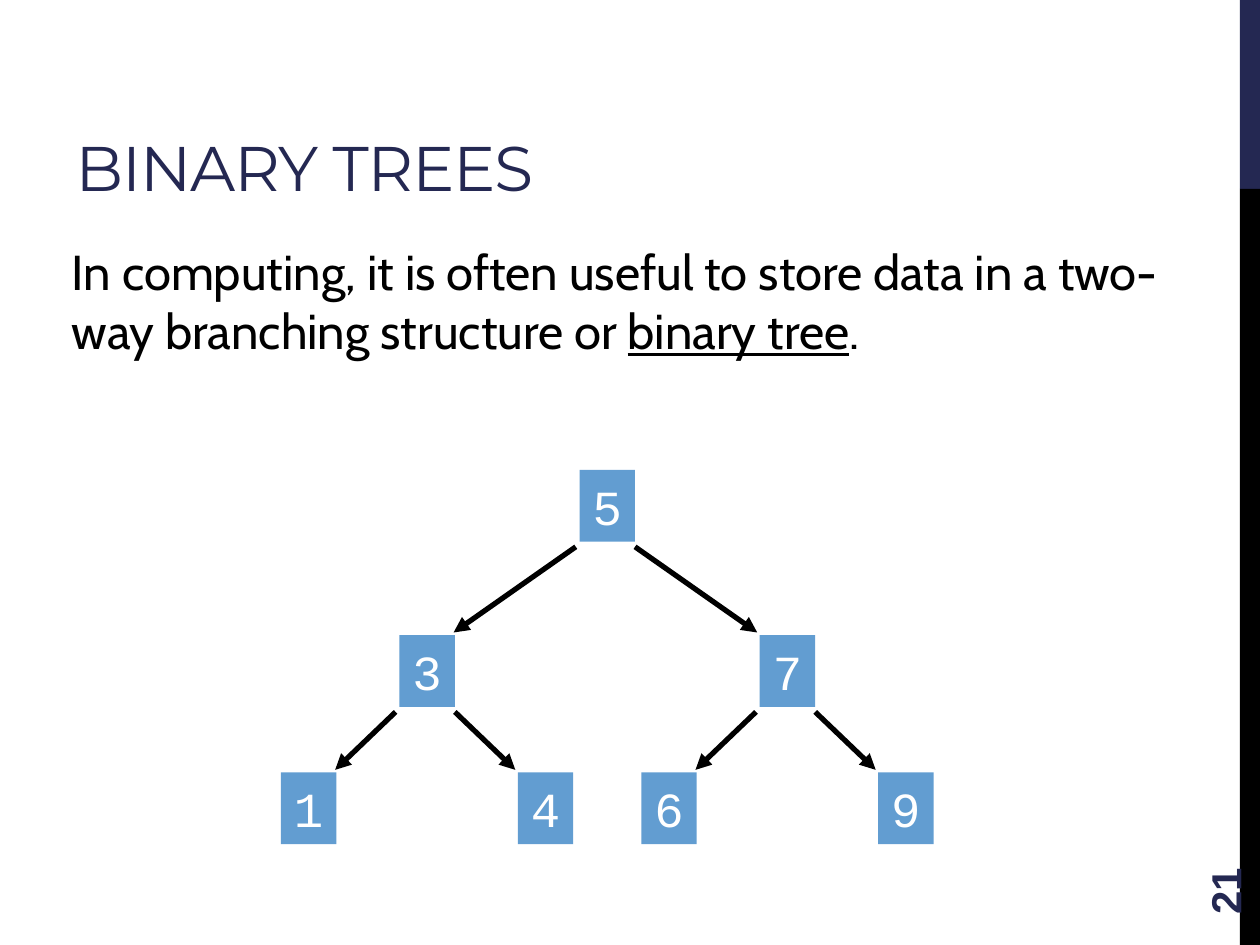
from dataclasses import dataclass

from lxml import etree
from pptx import Presentation
from pptx.dml.color import RGBColor
from pptx.enum.shapes import MSO_CONNECTOR, MSO_SHAPE
from pptx.enum.text import MSO_ANCHOR, MSO_AUTO_SIZE, PP_ALIGN
from pptx.oxml.ns import qn
from pptx.util import Inches, Pt

RECT = MSO_SHAPE.RECTANGLE
LINE = MSO_CONNECTOR.STRAIGHT
MIDDLE, BOTTOM = MSO_ANCHOR.MIDDLE, MSO_ANCHOR.BOTTOM
LEFT, CENTER = PP_ALIGN.LEFT, PP_ALIGN.CENTER
NAVY, BLACK, BLUE, WHITE = "242852", "000000", "629DD1", "FFFFFF"
WIDE, HIGH = 0.44, 0.57


@dataclass
class Node:
    key: str
    left: float
    top: float


def color(code: str) -> RGBColor:
    return RGBColor.from_string(code)


def place(shape, left: float, top: float, wide: float, high: float) -> None:
    shape.left, shape.top = Inches(left), Inches(top)
    shape.width, shape.height = Inches(wide), Inches(high)


def style(para, size: int, face: str, code: str, align=LEFT) -> None:
    para.alignment = align
    for run in para.runs:
        run.font.size = Pt(size)
        run.font.name = face
        run.font.color.rgb = color(code)


def block(slide, left: float, top: float, wide: float, high: float, code: str):
    shape = slide.shapes.add_shape(
        RECT, Inches(left), Inches(top), Inches(wide), Inches(high))
    shape.shadow.inherit = False
    shape.fill.solid()
    shape.fill.fore_color.rgb = color(code)
    shape.line.fill.background()
    return shape


def draw_node(slide, node: Node) -> None:
    frame = block(slide, node.left, node.top, WIDE, HIGH, BLUE).text_frame
    frame.word_wrap = False
    frame.vertical_anchor = MIDDLE
    frame.text = node.key
    style(frame.paragraphs[0], 28, "Courier New", WHITE, CENTER)


def draw_edge(slide, top: Node, low: Node) -> None:
    """Join the facing corners of a parent and its child."""
    if low.left < top.left:
        start, end = top.left - 0.03, low.left + WIDE - 0.01
    else:
        start, end = top.left + WIDE, low.left - 0.02
    edge = slide.shapes.add_connector(
        LINE, Inches(start), Inches(top.top + HIGH + 0.04),
        Inches(end), Inches(low.top - 0.02))
    edge.line.color.rgb = color(BLACK)
    edge.line.width = Pt(3)
    etree.SubElement(edge.line._get_or_add_ln(), qn("a:tailEnd"), type="triangle")
    etree.SubElement(edge._element.spPr, qn("a:effectLst"))


def main() -> None:
    deck = Presentation()
    deck.slide_width, deck.slide_height = Inches(10), Inches(7.5)
    slide = deck.slides.add_slide(deck.slide_layouts[1])

    # Side bar
    block(slide, 9.84, 0, 0.16, 1.5, NAVY)
    block(slide, 9.84, 1.5, 0.16, 6, BLACK)

    # Title
    title = slide.shapes.title
    place(title, 0.5, 0.17, 6.33, 1.5)
    frame = title.text_frame
    frame.text = "BINARY TREES"
    frame.auto_size = MSO_AUTO_SIZE.NONE
    frame.vertical_anchor = BOTTOM
    style(frame.paragraphs[0], 36, "Montserrat", NAVY)
    frame.paragraphs[0].runs[0].font._element.set("spc", "-60")

    # Body text
    body = slide.placeholders[1]
    place(body, 0.47, 1.87, 8.96, 1.03)
    frame = body.text_frame
    frame.auto_size = MSO_AUTO_SIZE.NONE
    frame.vertical_anchor = MIDDLE
    para = frame.paragraphs[0]
    para.space_before = Pt(0)
    props = para._p.get_or_add_pPr()
    props.set("marL", "0")
    props.set("indent", "0")
    etree.SubElement(props, qn("a:buNone"))
    for text in ("In computing, it is often useful to store data in a two-way "
                 "branching structure or ", "binary tree", "."):
        para.add_run().text = text
    style(para, 28, "Cabin", BLACK)
    para.runs[1].font.underline = True

    # Page number
    page = slide.shapes.add_textbox(
        Inches(9), Inches(6.44), Inches(1.44), Inches(0.4))
    page.rotation = 270
    frame = page.text_frame
    frame.word_wrap = True
    frame.vertical_anchor = MIDDLE
    frame.text = "21"
    style(frame.paragraphs[0], 24, "Arial", NAVY)
    frame.paragraphs[0].runs[0].font.bold = True

    # Tree: the root, two branches and their leaves
    root = Node("5", 4.6, 3.73)
    draw_node(slide, root)
    for left, keys in ((3.17, "314"), (6.03, "769")):
        branch = Node(keys[0], left, 5.04)
        draw_node(slide, branch)
        draw_edge(slide, root, branch)
        for key, shift in zip(keys[1:], (-0.94, 0.94)):
            leaf = Node(key, left + shift, 6.13)
            draw_node(slide, leaf)
            draw_edge(slide, branch, leaf)

    deck.save("out.pptx")


if __name__ == "__main__":
    main()
